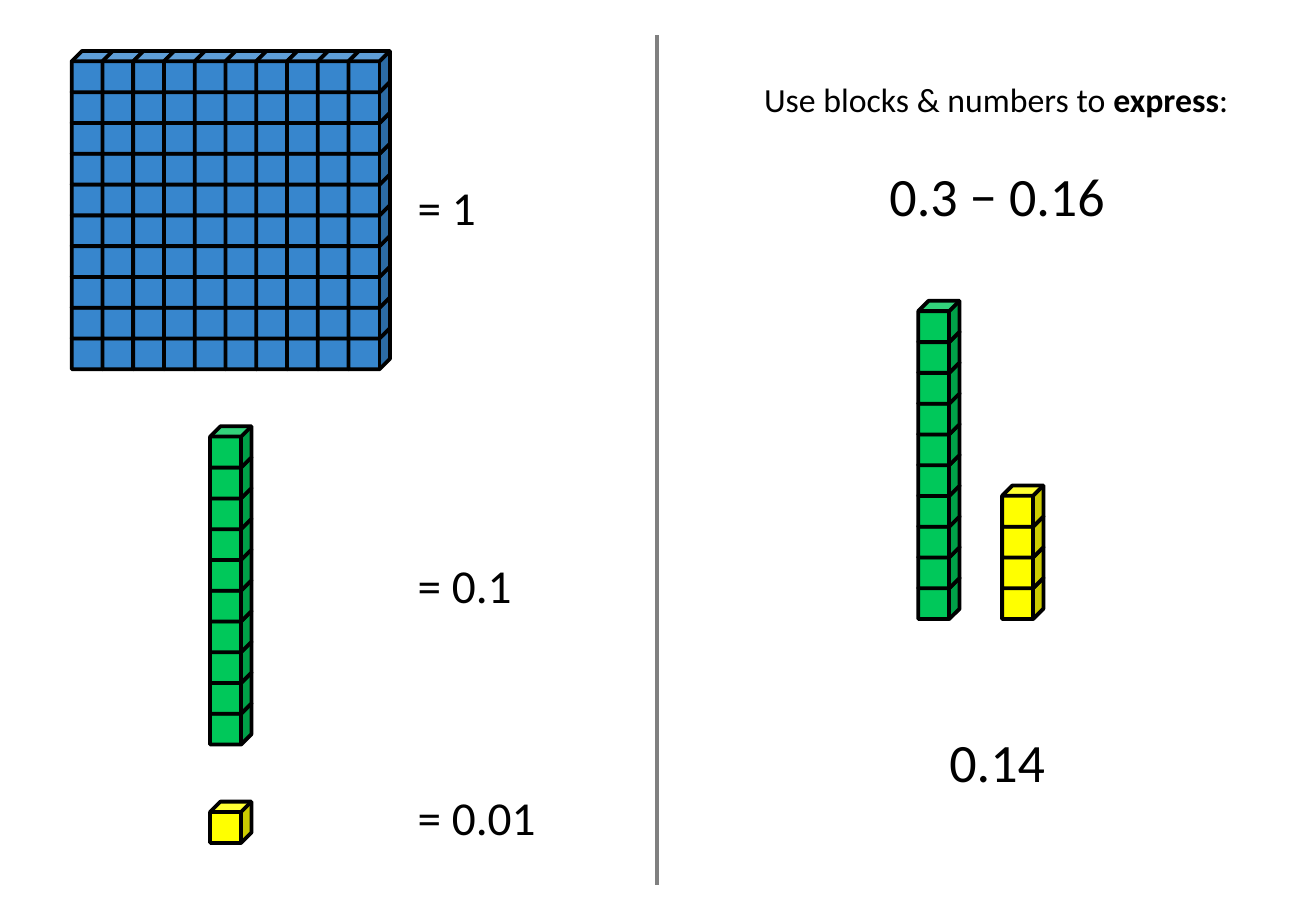
from dataclasses import dataclass

from lxml.etree import SubElement
from pptx import Presentation
from pptx.dml.color import RGBColor
from pptx.enum.shapes import MSO_CONNECTOR as Connector, MSO_SHAPE as Preset
from pptx.enum.text import MSO_ANCHOR as Anchor, MSO_AUTO_SIZE as AutoSize, PP_ALIGN as Align
from pptx.oxml.ns import qn
from pptx.shapes.autoshape import Shape
from pptx.slide import Slide
from pptx.util import Emu, Pt

EMU_PER_PX = 914400 // 300
CUBE = 102
PITCH = 76
FONT = "Calibri"
COLORS = {
    "one": "3786CD",
    "tenth": "00C85A",
    "hundredth": "FFFF00",
    "ink": "000000",
    "divider": "808080",
}


@dataclass(frozen=True)
class Blocks:
    left: int
    top: int
    columns: int
    rows: int
    color: str


@dataclass(frozen=True)
class Label:
    left: int
    top: int
    width: int
    height: int
    text: str
    size: int
    align: Align = Align.LEFT


BLOCKS = [
    Blocks(177, 126, 10, 10, "one"),
    Blocks(519, 1053, 1, 10, "tenth"),
    Blocks(519, 1980, 1, 1, "hundredth"),
    Blocks(2268, 743, 1, 10, "tenth"),
    Blocks(2475, 743 + 6 * PITCH, 1, 4, "hundredth"),
]
LABELS = [
    Label(1002, 426, 207, 171, "= 1", 28),
    Label(1002, 1359, 297, 171, "= 0.1", 28),
    Label(1002, 1932, 357, 171, "= 0.01", 28),
    Label(2163, 387, 600, 192, "0.3 − 0.16", 32, Align.CENTER),
    Label(2313, 1785, 300, 192, "0.14", 32, Align.CENTER),
]
INSTRUCTION = [("Use blocks & numbers to ", False), ("express", True), (":", False)]


def px(length: int) -> Emu:
    return Emu(length * EMU_PER_PX)


def rgb(name: str) -> RGBColor:
    return RGBColor.from_string(COLORS[name])


def draw_blocks(slide: Slide, blocks: Blocks) -> None:
    single = blocks.columns * blocks.rows == 1
    shapes = slide.shapes if single else slide.shapes.add_group_shape().shapes
    for column in range(blocks.columns):
        for row in reversed(range(blocks.rows)):
            cube = shapes.add_shape(
                Preset.CUBE,
                px(blocks.left + column * PITCH),
                px(blocks.top + row * PITCH),
                px(CUBE),
                px(CUBE),
            )
            cube.shadow.inherit = False
            cube.fill.solid()
            cube.fill.fore_color.rgb = rgb(blocks.color)
            cube.line.color.rgb = rgb("ink")
            cube.line.width = Pt(2.25)


def write(box: Shape, runs: list[tuple[str, bool]], size: int, align: Align) -> None:
    frame = box.text_frame
    frame.word_wrap = False
    frame.auto_size = AutoSize.SHAPE_TO_FIT_TEXT
    frame.vertical_anchor = Anchor.TOP
    paragraph = frame.paragraphs[0]
    paragraph.alignment = align
    for text, bold in runs:
        run = paragraph.add_run()
        run.text = text
        run.font.name = FONT
        run.font.size = Pt(size)
        run.font.bold = bold
        run.font.color.rgb = rgb("ink")


def draw_label(slide: Slide, label: Label) -> None:
    box = slide.shapes.add_textbox(
        px(label.left), px(label.top), px(label.width), px(label.height)
    )
    write(box, [(label.text, False)], label.size, label.align)


def draw_instruction(slide: Slide) -> None:
    title = slide.shapes.title
    title.left, title.top = px(1854), px(180)
    title.width, title.height = px(1212), px(132)
    write(title, INSTRUCTION, 20, Align.CENTER)


def draw_divider(slide: Slide) -> None:
    divider = slide.shapes.add_connector(
        Connector.STRAIGHT, px(1623), px(87), px(1623), px(2187)
    )
    divider.line.color.rgb = rgb("divider")
    divider.line.width = Pt(2.25)
    SubElement(divider._element.spPr, qn("a:effectLst"))


def main() -> None:
    deck = Presentation()
    deck.slide_width, deck.slide_height = px(3250), px(2250)
    slide = deck.slides.add_slide(deck.slide_layouts[5])
    draw_instruction(slide)
    for blocks in BLOCKS:
        draw_blocks(slide, blocks)
    for label in LABELS:
        draw_label(slide, label)
    draw_divider(slide)
    deck.save("out.pptx")


if __name__ == "__main__":
    main()
